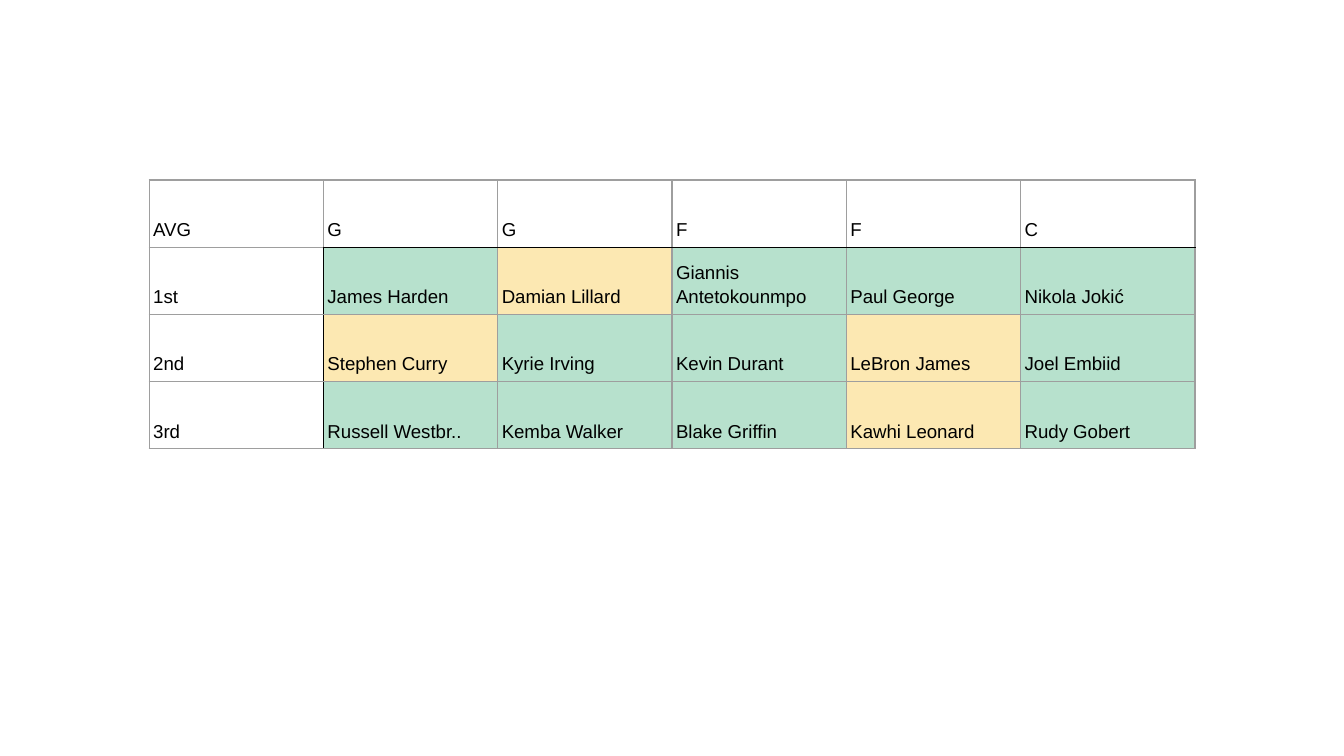
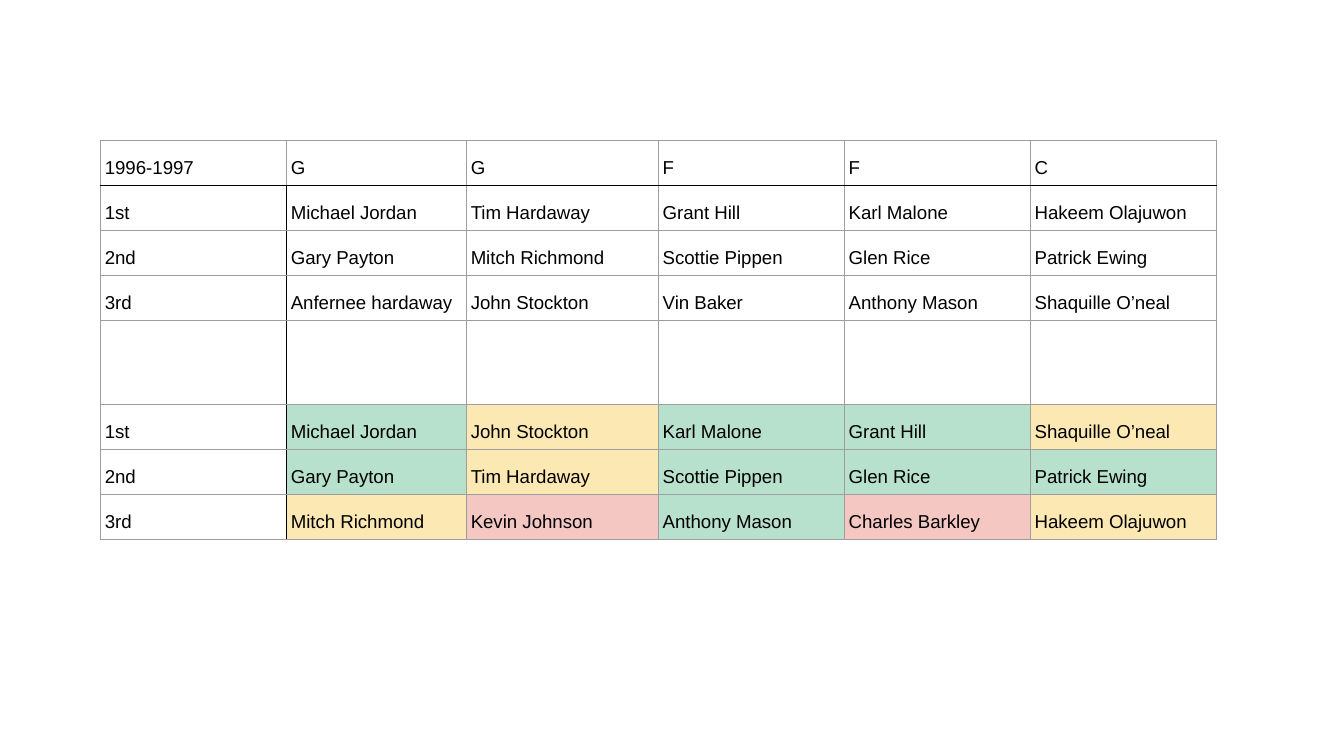
from dataclasses import dataclass

from lxml.etree import SubElement
from pptx import Presentation
from pptx.dml.color import RGBColor
from pptx.enum.text import MSO_ANCHOR
from pptx.oxml.ns import qn
from pptx.util import Inches, Pt


@dataclass(frozen=True)
class Theme:
    font: str = "Arial"
    size: float = 10
    line_spacing: float = 1.15
    ink: str = "000000"
    grid: str = "9E9E9E"
    border: float = 0.75
    match: str = "B7E1CD"
    near: str = "FCE8B2"
    miss: str = "F4C7C3"


THEME = Theme()
SLIDE_WIDTH = Inches(10)
SLIDE_HEIGHT = SLIDE_WIDTH * 9 // 16
RATING_FILLS = {"m": THEME.match, "n": THEME.near, "x": THEME.miss}
CELL_FORMAT = {
    "vertical_anchor": MSO_ANCHOR.BOTTOM,
    "margin_left": Inches(0.03),
    "margin_right": Inches(0.03),
    "margin_top": Inches(0.05),
    "margin_bottom": Inches(0.05),
}
FONT_FORMAT = {"name": THEME.font, "size": Pt(THEME.size), "bold": False}
POSITIONS = ["G", "G", "F", "F", "C"]

# Each row: team, players, one rating letter per player
AVERAGE_TEAMS = [
    ("AVG", POSITIONS, ""),
    ("1st", ["James Harden", "Damian Lillard", "Giannis Antetokounmpo",
             "Paul George", "Nikola Jokić"], "mnmmm"),
    ("2nd", ["Stephen Curry", "Kyrie Irving", "Kevin Durant",
             "LeBron James", "Joel Embiid"], "nmmnm"),
    ("3rd", ["Russell Westbr..", "Kemba Walker", "Blake Griffin",
             "Kawhi Leonard", "Rudy Gobert"], "mmmnm"),
]
SEASON_TEAMS = [
    ("1996-1997", POSITIONS, ""),
    ("1st", ["Michael Jordan", "Tim Hardaway", "Grant Hill",
             "Karl Malone", "Hakeem Olajuwon"], ""),
    ("2nd", ["Gary Payton", "Mitch Richmond", "Scottie Pippen",
             "Glen Rice", "Patrick Ewing"], ""),
    ("3rd", ["Anfernee hardaway", "John Stockton", "Vin Baker",
             "Anthony Mason", "Shaquille O’neal"], ""),
    ("", [""] * 5, ""),
    ("1st", ["Michael Jordan", "John Stockton", "Karl Malone",
             "Grant Hill", "Shaquille O’neal"], "mnmmn"),
    ("2nd", ["Gary Payton", "Tim Hardaway", "Scottie Pippen",
             "Glen Rice", "Patrick Ewing"], "mnmmm"),
    ("3rd", ["Mitch Richmond", "Kevin Johnson", "Anthony Mason",
             "Charles Barkley", "Hakeem Olajuwon"], "nxmxn"),
]


def across(percent):
    return round(SLIDE_WIDTH * percent / 100)


def down(percent):
    return round(SLIDE_HEIGHT * percent / 100)


def apply_format(target, values):
    for attribute, value in values.items():
        setattr(target, attribute, value)


def draw_borders(cell, row, column, rule_start):
    """Black under the header from rule_start on and right of the team names."""
    under_header = column >= rule_start
    black_sides = {
        "L": column == 1 and row > 0,
        "R": column == 0 and row > 0,
        "T": row == 1 and under_header,
        "B": row == 0 and under_header,
    }
    properties = cell._tc.get_or_add_tcPr()
    for side, black in black_sides.items():
        line = SubElement(properties, qn(f"a:ln{side}"), w=str(Pt(THEME.border)))
        fill = SubElement(line, qn("a:solidFill"))
        SubElement(fill, qn("a:srgbClr"), val=THEME.ink if black else THEME.grid)


def write_cell(cell, text):
    apply_format(cell, CELL_FORMAT)
    if not text:
        return
    paragraph = cell.text_frame.paragraphs[0]
    paragraph.line_spacing = THEME.line_spacing
    run = paragraph.add_run()
    run.text = text
    apply_format(run.font, FONT_FORMAT)
    run.font.color.rgb = RGBColor.from_string(THEME.ink)


def fill_cell(cell, rating):
    if rating in RATING_FILLS:
        cell.fill.solid()
        cell.fill.fore_color.rgb = RGBColor.from_string(RATING_FILLS[rating])
    else:
        cell.fill.background()


def add_team_table(slide, teams, left, top, widths, heights, rule_start):
    """Place a team table; lengths are percentages of the slide's size."""
    frame = slide.shapes.add_table(
        len(teams), len(widths), across(left), down(top),
        across(sum(widths)), down(sum(heights)))
    table = frame.table
    apply_format(table, {"first_row": False, "horz_banding": False})
    for column, width in zip(table.columns, widths):
        column.width = across(width)
    for row, height in zip(table.rows, heights):
        row.height = down(height)
    for r, (team, players, ratings) in enumerate(teams):
        marks = " " + ratings.ljust(len(players))
        for c, (text, mark) in enumerate(zip([team, *players], marks)):
            cell = table.cell(r, c)
            write_cell(cell, text)
            draw_borders(cell, r, c, rule_start)
            fill_cell(cell, mark)


def main():
    deck = Presentation()
    deck.slide_width, deck.slide_height = SLIDE_WIDTH, SLIDE_HEIGHT
    blank = deck.slide_layouts[6]

    # Average teams
    add_team_table(deck.slides.add_slide(blank), AVERAGE_TEAMS,
                   left=11.1, top=23.82, widths=[12.97] * 6,
                   heights=[8.89] * 4, rule_start=1)

    # 1996-1997 season: two sets of teams with a gap row between
    add_team_table(deck.slides.add_slide(blank), SEASON_TEAMS,
                   left=7.5, top=18.55,
                   widths=[13.84, 13.39, 14.28] + [13.84] * 3,
                   heights=[5.96] * 4 + [11.11] + [5.96] * 3, rule_start=0)

    deck.save("out.pptx")


if __name__ == "__main__":
    main()
